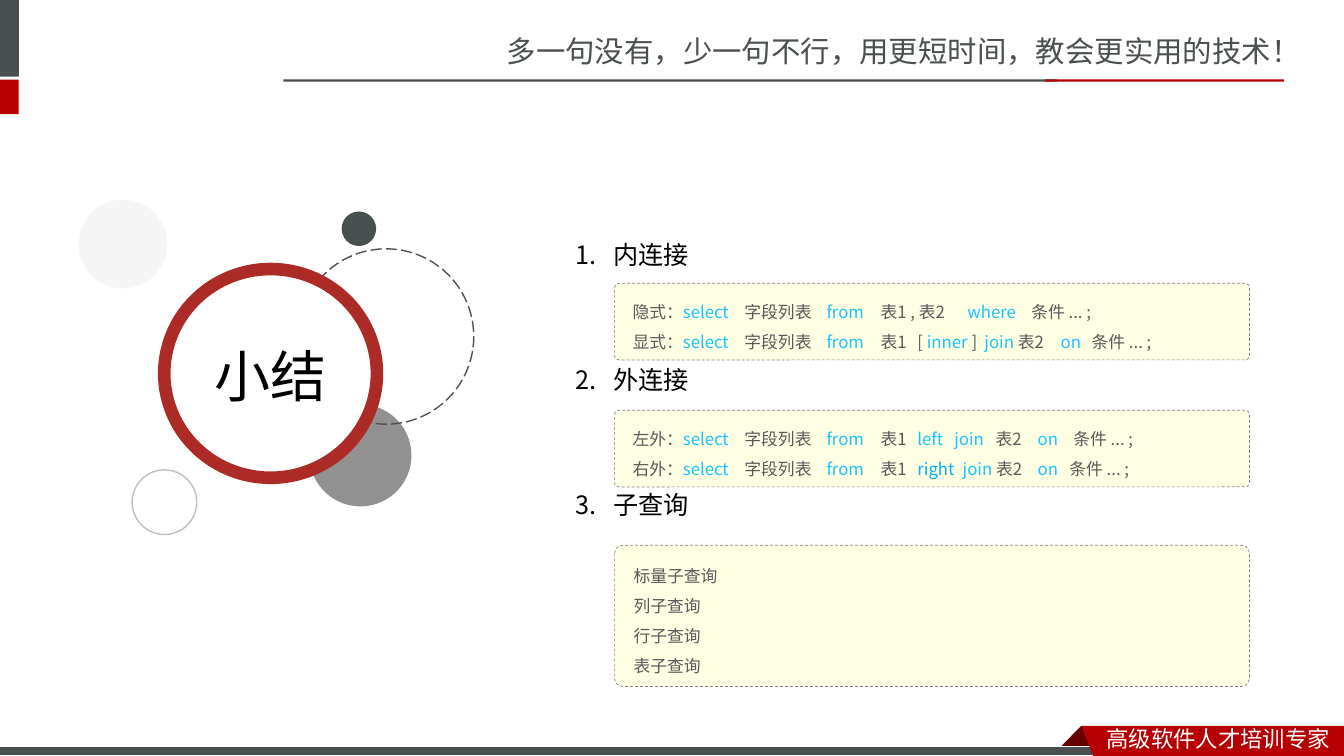
import dataclasses

import lxml.etree
import pptx
import pptx.dml.color
import pptx.enum.dml
import pptx.enum.shapes
import pptx.enum.text
import pptx.oxml.ns
import pptx.util

Cm = pptx.util.Cm
Pt = pptx.util.Pt
SHAPES = pptx.enum.shapes.MSO_SHAPE
DASHES = pptx.enum.dml.MSO_LINE
ANCHORS = pptx.enum.text.MSO_ANCHOR
ALIGNMENTS = pptx.enum.text.PP_ALIGN


@dataclasses.dataclass(frozen=True)
class Theme:
    slate: str = "49504F"
    red: str = "B60004"
    dark_red: str = "680000"
    ring_red: str = "AD2B26"
    gray: str = "515151"
    pale_gray: str = "F2F2F2"
    light_line: str = "BFBFBF"
    panel: str = "FFFFE4"
    panel_line: str = "808080"
    body: str = "595959"
    keyword: str = "19C3FF"
    right_keyword: str = "00B0F0"
    white: str = "FFFFFF"
    black: str = "000000"
    font: str = "Noto Sans CJK JP"
    master_font: str = "Noto Sans CJK SC"
    slogan_size: int = 21
    footer_size: int = 16
    summary_size: int = 40
    heading_size: int = 18
    code_size: int = 12


THEME = Theme()

JOIN_STOPS = (2.82, 4.89, 6.25)
INNER_JOINS = (
    ("隐式：|select|\t字段列表\t|from|\t表1 , 表2\t|where|\t条件 ... ;", JOIN_STOPS + (8.44, 10.05)),
    ("显式：|select|\t字段列表\t|from|\t表1\t[ |inner| ]\t|join| 表2\t|on|\t条件 ... ;",
     JOIN_STOPS + (7.18, 8.87, 10.79, 11.57)),
)
OUTER_JOINS = (
    ("左外：|select|\t字段列表\t|from|\t表1\t|left\tjoin|\t表2\t|on|\t条件 ... ;",
     JOIN_STOPS + (7.18, 8.11, 9.15, 10.21, 11.11)),
    ("右外：|select|\t字段列表\t|from|\t表1\t|right|\t|join| 表2\t|on|\t条件 ... ;",
     JOIN_STOPS + (7.18, 8.32, 10.21, 11.01)),
)
SUBQUERIES = tuple((name, ()) for name in ("标量子查询", "列子查询", "行子查询", "表子查询"))


def rgb(color):
    return pptx.dml.color.RGBColor.from_string(color)


def add_element(parent, tag, **attributes):
    return lxml.etree.SubElement(parent, pptx.oxml.ns.qn(tag), attributes)


def add_text(paragraph, text, size, color, font=THEME.font):
    run = paragraph.add_run()
    run.text = text
    run.font.size = Pt(size)
    run.font.color.rgb = rgb(color)
    run.font.name = font
    add_element(run.font._element, "a:ea", typeface=font)


def style_shape(shape, fill=None, alpha=None, line=None, weight=1, dash=None):
    shape.shadow.inherit = False
    if fill:
        shape.fill.solid()
        shape.fill.fore_color.rgb = rgb(fill)
    else:
        shape.fill.background()
    if alpha:
        color = shape._element.spPr.find(".//" + pptx.oxml.ns.qn("a:srgbClr"))
        add_element(color, "a:alpha", val=str(alpha * 1000))
    if line:
        shape.line.color.rgb = rgb(line)
        shape.line.width = Pt(weight)
        if dash:
            shape.line.dash_style = dash
    else:
        shape.line.fill.background()


def add_shape(slide, kind, left, top, width, height, **style):
    shape = slide.shapes.add_shape(kind, Cm(left), Cm(top), Cm(width), Cm(height))
    style_shape(shape, **style)
    return shape


def add_polygon(slide, points, **style):
    corners = [(Cm(x), Cm(y)) for x, y in points]
    builder = slide.shapes.build_freeform(*corners[0], scale=1.0)
    builder.add_line_segments(corners[1:], close=True)
    style_shape(builder.convert_to_shape(), **style)


def add_text_box(slide, left, top, width, height, anchor=ANCHORS.TOP):
    box = slide.shapes.add_textbox(Cm(left), Cm(top), Cm(width), Cm(height))
    box.text_frame.word_wrap = True
    box.text_frame.vertical_anchor = anchor
    return box.text_frame


def next_paragraph(frame, index):
    return frame.add_paragraph() if index else frame.paragraphs[0]


def add_page_frame(slide):
    bars = (
        (0, 0, 0.48, 1.93, THEME.slate),
        (0, 2.01, 0.47, 0.87, THEME.red),
        (7.14, 2, 19.5, 0.06, THEME.slate),
        (26.33, 2, 6.03, 0.06, THEME.red),
    )
    for left, top, width, height, color in bars:
        add_shape(slide, SHAPES.RECTANGLE, left, top, width, height, fill=color)
    slogan = add_text_box(slide, 12.52, 0.71, 21.35, 1.19).paragraphs[0]
    add_text(slogan, "多一句没有，少一句不行，用更短时间，教会更实用的技术！",
             THEME.slogan_size, THEME.slate, THEME.master_font)

    add_polygon(slide, ((27.25, 18.29), (27.81, 18.85), (27.79, 18.87), (26.72, 18.87), (26.7, 18.85)),
                fill=THEME.dark_red)
    add_shape(slide, SHAPES.RECTANGLE, 0, 18.82, 27.91, 0.23, fill=THEME.slate, line=THEME.white, weight=0.75)
    add_polygon(slide, ((27.25, 18.29), (33.87, 18.29), (33.87, 19.05), (27.55, 19.05)), fill=THEME.red)
    footer = add_text_box(slide, 27.64, 18.16, 6.22, 0.89).paragraphs[0]
    add_text(footer, "高级软件人才培训专家", THEME.footer_size, THEME.white, THEME.master_font)


def add_summary_emblem(slide):
    circles = (
        (3.33, 11.84, 1.63, 1.63, dict(line=THEME.light_line)),
        (7.8, 10.19, 2.57, 2.57, dict(fill=THEME.gray, alpha=63)),
        (7.52, 6.27, 4.42, 4.42, dict(line=THEME.gray, dash=DASHES.LONG_DASH)),
        (4.14, 6.78, 5.36, 5.26, dict(fill=THEME.white, line=THEME.ring_red, weight=9)),
        (1.98, 5.03, 2.24, 2.24, dict(fill=THEME.pale_gray, alpha=70)),
        (8.61, 5.33, 0.87, 0.87, dict(fill=THEME.slate)),
    )
    for left, top, width, height, style in circles:
        add_shape(slide, SHAPES.OVAL, left, top, width, height, **style)
    title = add_text_box(slide, 4.65, 8.05, 4.34, 3, ANCHORS.MIDDLE).paragraphs[0]
    title.alignment = ALIGNMENTS.CENTER
    title.line_spacing = 0.9
    add_text(title, "小结", THEME.summary_size, THEME.black)


def add_headings(slide, headings):
    frame = add_text_box(slide, 14.25, 6.04, 16, 7.6)
    frame.margin_top = 0
    for index, heading in enumerate(headings):
        paragraph = next_paragraph(frame, index)
        properties = paragraph._p.get_or_add_pPr()
        properties.set("marL", str(Cm(0.95)))
        properties.set("indent", str(-Cm(0.95)))
        add_element(properties, "a:buFont", typeface=THEME.font)
        add_element(properties, "a:buAutoNum", type="arabicPeriod")
        if index:
            paragraph.space_before = Pt(67.5)
        add_text(paragraph, heading, THEME.heading_size, THEME.black)


def add_syntax_panel(slide, top, height, lines):
    panel = add_shape(slide, SHAPES.ROUNDED_RECTANGLE, 15.49, top, 16, height, fill=THEME.panel,
                      line=THEME.panel_line, weight=0.5, dash=DASHES.DASH)
    panel.adjustments[0] = 0.056
    frame = panel.text_frame
    frame.word_wrap = True
    frame.vertical_anchor = ANCHORS.MIDDLE
    frame.margin_left = Cm(0.42)
    frame.margin_top = frame.margin_right = frame.margin_bottom = 0
    for index, (text, stops) in enumerate(lines):
        paragraph = next_paragraph(frame, index)
        paragraph.alignment = ALIGNMENTS.LEFT
        paragraph.line_spacing = 1.5
        if stops:
            tabs = add_element(paragraph._p.get_or_add_pPr(), "a:tabLst")
            for stop in stops:
                add_element(tabs, "a:tab", pos=str(Cm(stop)), algn="l")
        for part, words in enumerate(text.split("|")):
            keyword = THEME.right_keyword if words == "right" else THEME.keyword
            add_text(paragraph, words, THEME.code_size, keyword if part % 2 else THEME.body)


def main():
    presentation = pptx.Presentation()
    presentation.slide_width = Cm(33.87)
    presentation.slide_height = Cm(19.05)
    slide = presentation.slides.add_slide(presentation.slide_layouts[6])
    add_page_frame(slide)
    add_summary_emblem(slide)
    add_headings(slide, ("内连接", "外连接", "子查询"))
    add_syntax_panel(slide, 7.14, 1.93, INNER_JOINS)
    add_syntax_panel(slide, 10.34, 1.93, OUTER_JOINS)
    add_syntax_panel(slide, 13.74, 3.56, SUBQUERIES)
    presentation.save("out.pptx")


if __name__ == "__main__":
    main()
